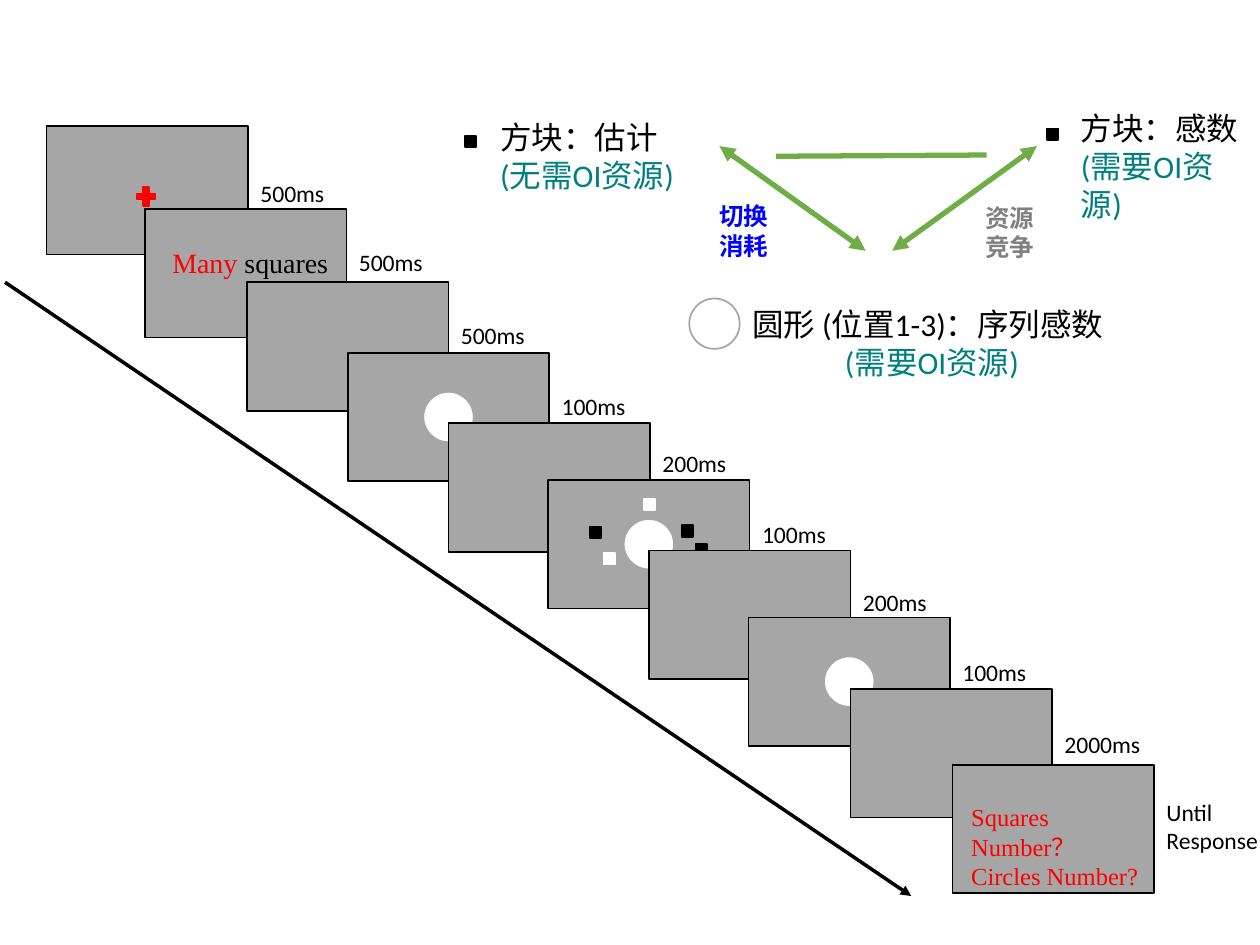
from dataclasses import dataclass

from lxml import etree
from pptx import Presentation
from pptx.dml.color import RGBColor
from pptx.enum.shapes import MSO_CONNECTOR, MSO_SHAPE
from pptx.enum.text import MSO_AUTO_SIZE, PP_ALIGN
from pptx.oxml.ns import qn
from pptx.util import Pt

RECT, OVAL, PLUS = MSO_SHAPE.RECTANGLE, MSO_SHAPE.OVAL, MSO_SHAPE.MATH_PLUS
STRAIGHT = MSO_CONNECTOR.STRAIGHT
GROW = MSO_AUTO_SIZE.SHAPE_TO_FIT_TEXT
LEFT, CENTER = PP_ALIGN.LEFT, PP_ALIGN.CENTER


@dataclass(frozen=True)
class Theme:
    black: str = "000000"
    white: str = "FFFFFF"
    grey: str = "A6A6A6"
    dim: str = "808080"
    red: str = "FF0000"
    blue: str = "0000FF"
    teal: str = "007F7F"
    green: str = "70AD47"
    sans: str = "Calibri"
    serif: str = "Times New Roman"
    time: float = 13.5
    small: float = 14
    cue: float = 16
    body: float = 18


T = Theme()
FRAME_W, FRAME_H = 115.2, 73.4
CIRCLE, SQUARE = 28.8, 6.5

# Frame left, frame top, label top, label, content
FRAMES = [
    (23.7, 0, 26.6, "500ms", "fixation"),
    (79.9, 47.5, 66.2, "500ms", "cue"),
    (138.2, 89.3, 108, "500ms", None),
    (195.8, 129.6, 148.3, "100ms", "circle"),
    (253.4, 169.9, 180.7, "200ms", None),
    (310.3, 202.3, 221.8, "100ms", "squares"),
    (367.9, 242.6, 260.6, "200ms", None),
    (424.8, 280.8, 300.2, "100ms", "circle"),
    (483.1, 321.8, 341.3, "2000ms", None),
    (541.4, 365, 380.2, "Until Response", "question"),
]
# Square left and top within its frame, colour
SQUARES = [
    (23.8, 26.6, T.black), (31.7, 41.8, T.white), (54.7, 10.8, T.white),
    (76.3, 25.9, T.black), (84.2, 36.7, T.black),
]


def add_box(slide, kind, x, y, w, h, fill, line=None):
    sp = slide.shapes.add_shape(kind, Pt(x), Pt(y), Pt(w), Pt(h))
    sp.shadow.inherit = False
    sp.fill.solid()
    sp.fill.fore_color.rgb = RGBColor.from_string(fill)
    sp.line.color.rgb = RGBColor.from_string(line or fill)
    sp.line.width = Pt(1)


def add_text(slide, x, y, w, h, paras, size=T.body, font=T.sans,
             bold=False, wrap=True, aligns=(LEFT, LEFT)):
    """Each paragraph is a list of (text, colour) runs."""
    tf = slide.shapes.add_textbox(Pt(x), Pt(y), Pt(w), Pt(h)).text_frame
    tf.word_wrap = wrap
    tf.auto_size = GROW
    for i, runs in enumerate(paras):
        p = tf.add_paragraph() if i else tf.paragraphs[0]
        p.alignment = aligns[i]
        for text, color in runs:
            r = p.add_run()
            r.text = text
            r.font.size, r.font.name, r.font.bold = Pt(size), font, bold
            r.font.color.rgb = RGBColor.from_string(color)


def add_line(slide, x1, y1, x2, y2, color, width, ends=()):
    cn = slide.shapes.add_connector(STRAIGHT, Pt(x1), Pt(y1), Pt(x2), Pt(y2))
    cn.line.color.rgb = RGBColor.from_string(color)
    cn.line.width = Pt(width)
    ln = cn.line._get_or_add_ln()
    for end in ends:
        etree.SubElement(ln, qn(f"a:{end}"), type="triangle")
    etree.SubElement(cn._element.spPr, qn("a:effectLst"))


def add_circle(slide, x, y):
    add_box(slide, OVAL, x, y, CIRCLE, CIRCLE, T.white, T.grey)


def add_square(slide, x, y, color=T.black):
    add_box(slide, RECT, x, y, SQUARE, SQUARE, color)


def trial_frame(slide, x, y, content):
    add_box(slide, RECT, x, y, FRAME_W, FRAME_H, T.grey, T.black)
    if content == "fixation":
        add_box(slide, PLUS, x + 49.7, y + 33.1, 14.4, 14.4, T.red)
    elif content == "cue":
        add_text(slide, x + 8.6, y + 17.3, 105.1, 26.6,
                 [[("Many ", T.red), ("squares", T.black)]],
                 size=T.cue, font=T.serif, wrap=False)
    elif content == "question":
        add_text(slide, x + 3.6, y + 18, 110.9, 58.3,
                 [[("Squares Number？", T.red)], [("Circles Number?", T.red)]],
                 size=T.small, font=T.serif)
    if content in ("circle", "squares"):
        add_circle(slide, x + (FRAME_W - CIRCLE) / 2, y + (FRAME_H - CIRCLE) / 2)
    if content == "squares":
        for dx, dy, color in SQUARES:
            add_square(slide, x + dx, y + dy, color)


def trial_sequence(slide, x, y):
    for dx, dy, label_y, label, content in FRAMES:
        trial_frame(slide, x + dx, y + dy, content)
        add_text(slide, x + dx + FRAME_W, y + label_y, 75, 23.8,
                 [[(label, T.black)]], size=T.time)
    # Time arrow
    add_line(slide, x, y + 89.3, x + 517.8, y + 440, T.black, 2, ["tailEnd"])


def task_triangle(slide, x, y):
    # Links between the three tasks
    both = ["headEnd", "tailEnd"]
    for x1, y1, x2, y2, ends in [
        (145.4, 24.5, 229, 84.3, both),
        (177.8, 30.3, 298.1, 29.6, []),
        (326.9, 24.5, 244.1, 84.3, both),
    ]:
        add_line(slide, x + x1, y + y1, x + x2, y + y2, T.green, 3, ends)

    # Costs beside the links
    for dx, dy, lines, color in [
        (290.2, 53.3, ("资源", "竞争"), T.dim),
        (138.2, 52.6, ("切换", "消耗"), T.blue),
    ]:
        add_text(slide, x + dx, y + dy, 42.5, 41,
                 [[(line, color)] for line in lines], size=T.small,
                 font=T.serif, bold=True, wrap=False, aligns=(CENTER, CENTER))

    # Tasks at the corners
    for dx, dy, w, name, need, align in [
        (157, 111.6, 219.6, "圆形 (位置1-3)：序列感数", "(需要OI资源)", CENTER),
        (344.9, 0, 112.3, "方块：感数", "(需要OI资源)", LEFT),
        (13, 5, 133.2, "方块：估计", "(无需OI资源)", LEFT),
    ]:
        add_text(slide, x + dx, y + dy, w, 51.1,
                 [[(name, T.black)], [(need, T.teal)]], aligns=(LEFT, align))
    add_circle(slide, x + 128.2, y + 111.6)
    add_square(slide, x + 332.6, y + 14.4)
    add_square(slide, x, y + 18.7)


def main():
    prs = Presentation()
    prs.slide_width, prs.slide_height = Pt(720), Pt(540)
    slide = prs.slides.add_slide(prs.slide_layouts[6])
    trial_sequence(slide, 2.9, 72)
    task_triangle(slide, 265.7, 59)
    prs.save("out.pptx")


if __name__ == "__main__":
    main()
